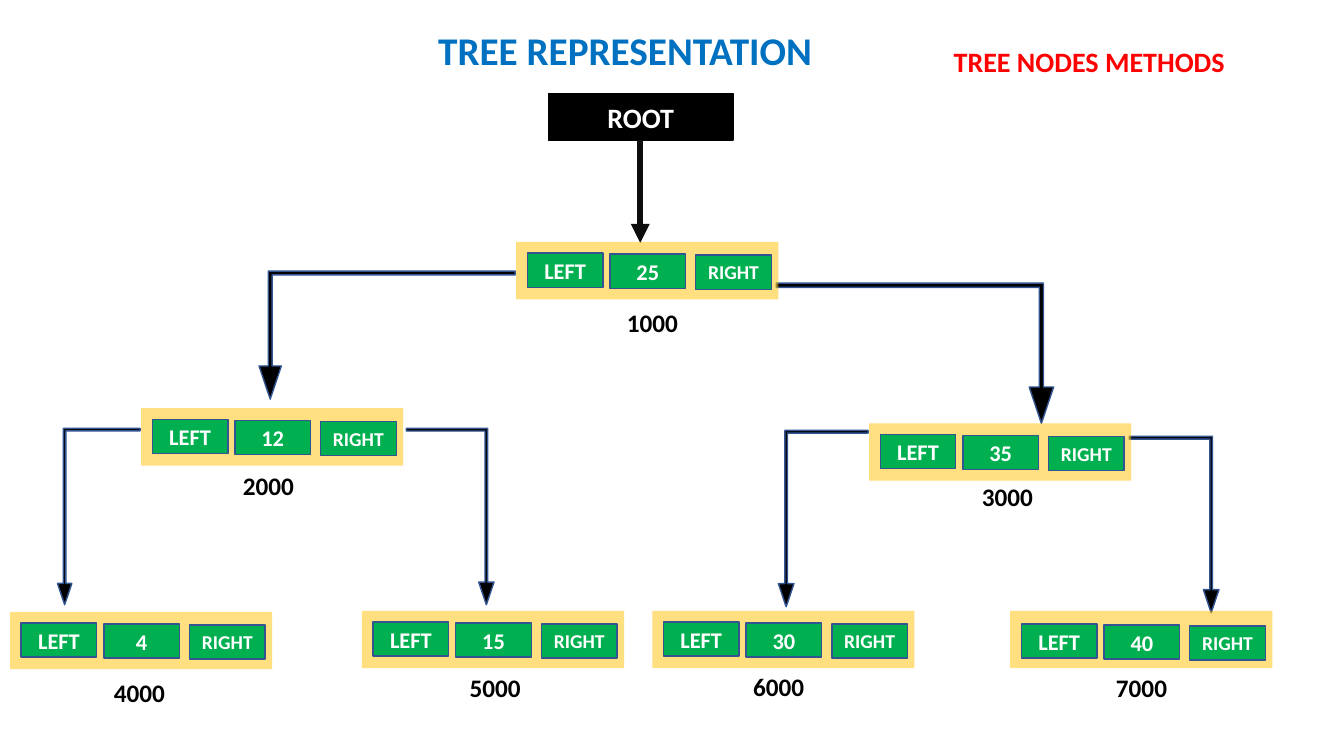
from lxml import etree
from pptx import Presentation, util as u
from pptx.dml.color import RGBColor
from pptx.enum import shapes, text
from pptx.oxml.ns import qn

BLACK, WHITE, GREEN, AMBER, BLUE = "000000", "FFFFFF", "00B050", "FFC000", "325491"


def add_box(parent, kind, place, fill, line=None):
    """Add a flat preset shape; place is left, top, width, height in inches."""
    shape = parent.add_shape(kind, *map(u.Inches, place))
    shape.shadow.inherit = False
    shape.fill.solid()
    shape.fill.fore_color.rgb = RGBColor.from_string(fill)
    if line:
        shape.line.color.rgb = RGBColor.from_string(line)
        shape.line.width = u.Pt(1)
    else:
        shape.line.fill.background()
    return shape


def write(shape, wording, size, color, align=text.PP_ALIGN.LEFT):
    frame = shape.text_frame
    frame.text = wording
    frame.word_wrap = True
    paragraph = frame.paragraphs[0]
    paragraph.alignment = align
    font = paragraph.runs[0].font
    font.name, font.size, font.bold = "Calibri", u.Pt(size), True
    font.color.rgb = RGBColor.from_string(color)


presentation = Presentation()
presentation.slide_width = u.Inches(13.33)
presentation.slide_height = u.Inches(7.5)
slide = presentation.slides.add_slide(presentation.slide_layouts[6])
canvas = slide.shapes
RECTANGLE = shapes.MSO_SHAPE.RECTANGLE
CENTER = text.PP_ALIGN.CENTER

# Root box and its pointer
root = add_box(canvas, RECTANGLE, (5.44, 0.93, 1.83, 0.46), BLACK, BLACK)
write(root, "ROOT", 20, WHITE, CENTER)
pointer = canvas.add_connector(
    shapes.MSO_CONNECTOR.STRAIGHT, *map(u.Inches, (6.35, 1.39, 6.35, 2.41)))
pointer.line.color.rgb = RGBColor.from_string("0D0D0D")
pointer.line.width = u.Pt(4.5)
etree.SubElement(pointer.line._get_or_add_ln(), qn("a:tailEnd"), type="triangle")
etree.SubElement(pointer._element.spPr, qn("a:effectLst"))

# Bent arrows from parent to child: place, and whether the child is on the left
branches = [
    ((2.57, 2.69, 2.54, 1.27), True),
    ((7.70, 2.81, 2.75, 1.39), False),
    ((0.57, 4.25, 0.82, 1.75), True),
    ((4.03, 4.25, 0.87, 1.75), False),
    ((7.72, 4.27, 0.89, 1.75), True),
    ((11.20, 4.33, 0.89, 1.75), False),
]
for place, to_left in branches:
    arrow = add_box(canvas, shapes.MSO_SHAPE.BENT_UP_ARROW, place, BLACK, BLUE)
    for index, share in enumerate((0.03, 0.087, 0.259)):
        arrow.adjustments[index] = share
    frame = arrow._element.spPr.xfrm
    frame.set("flipV", "1")
    if to_left:
        frame.set("flipH", "1")

# Nodes: key, left, top, drop of the cells, address, address left and top
nodes = [
    ("25", 5.12, 2.40, 0, "1000", 6.12, 3.00),
    ("12", 1.40, 4.05, 0, "2000", 2.31, 4.62),
    ("35", 8.62, 4.20, 0, "3000", 9.64, 4.73),
    ("4", 0.10, 6.07, 0, "4000", 1.03, 6.67),
    ("15", 3.59, 6.06, 0, "5000", 4.56, 6.62),
    ("30", 6.47, 6.06, 0, "6000", 7.37, 6.61),
    ("40", 10.02, 6.06, 0.02, "7000", 10.97, 6.62),
]
labels = [
    (" TREE REPRESENTATION", (4.16, 0.21, 4.36, 0.57), 28, "0070C0"),
    ("TREE NODES METHODS", (9.36, 0.39, 3.25, 0.44), 20, "FF0000"),
]
for key, left, top, drop, address, label_left, label_top in nodes:
    node = canvas.add_group_shape().shapes
    back = add_box(node, RECTANGLE, (left, top, 2.6, 0.57), AMBER)
    color = back._element.spPr.find(".//" + qn("a:srgbClr"))
    etree.SubElement(color, qn("a:alpha"), val="50000")
    cells = [("LEFT", 0.11, 0.11, 16), (key, 0.93, 0.12, 16), ("RIGHT", 1.78, 0.13, 14)]
    for wording, across, down, size in cells:
        place = (left + across, top + down + drop, 0.75, 0.34)
        write(add_box(node, RECTANGLE, place, GREEN, BLUE), wording, size, WHITE, CENTER)
    labels.append((address, (label_left, label_top, 1.08, 0.4), 18, BLACK))

# Headings and node addresses
for wording, place, size, color in labels:
    write(canvas.add_textbox(*map(u.Inches, place)), wording, size, color)

presentation.save("out.pptx")
